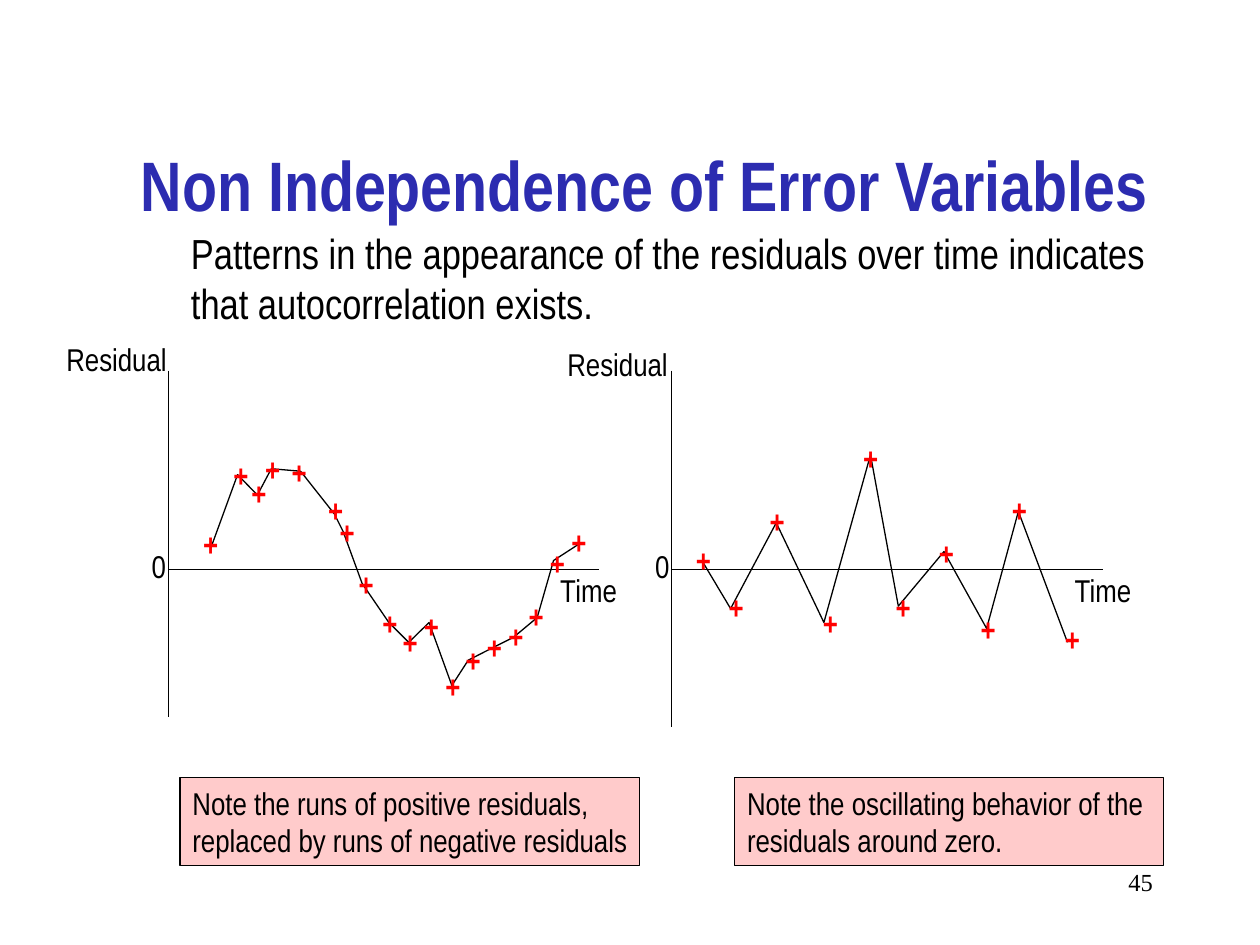
from pptx import Presentation
from pptx.dml.color import RGBColor
from pptx.enum.shapes import MSO_CONNECTOR as Connector, MSO_SHAPE as Shape
from pptx.enum.text import MSO_ANCHOR as Anchor, PP_ALIGN as Align
from pptx.oxml.ns import qn
from pptx.util import Cm, Pt
from lxml.etree import SubElement

COLORS = {"ink": "000000", "title": "2C2CB0", "marker": "FF0000", "note": "FF9999"}
LINE_WIDTH = Pt(0.75)
ROW = 1.02  # height of a one-line 18 pt label, in cm
MARKER_WIDTH = 0.81

# Plot data in cm from each origin: (across, up)
RUNS = {
    "origin": (3.39, 11.48), "below": 2.97, "time_x": 7.65, "residual": (-2.31, -4.75),
    "curve": [(0.86, 0.43), (1.4, 1.91), (1.8, 1.5), (2.08, 2.03), (2.67, 1.98),
              (3.35, 1.12), (3.53, 0.76), (3.91, -0.28), (4.45, -1.07), (4.85, -1.47),
              (5.26, -1.07), (5.72, -2.34), (6.05, -1.83), (6.5, -1.6), (6.96, -1.37),
              (7.44, -0.97), (7.77, 0.18), (8.31, 0.53)],
    "markers": [(0.86, 0.51), (1.47, 1.91), (1.83, 1.55), (2.11, 2.03), (2.64, 1.96),
                (3.38, 1.19), (3.61, 0.76), (3.99, -0.3), (4.47, -1.07), (4.88, -1.47),
                (5.31, -1.14), (5.74, -2.34), (6.15, -1.83), (6.58, -1.57), (7.01, -1.35),
                (7.42, -0.94), (7.85, 0.13), (8.28, 0.56)],
}
OSCILLATION = {
    "origin": (13.54, 11.48), "below": 3.18, "time_x": 7.87, "residual": (-2.36, -4.65),
    "curve": [(0.61, 0.18), (1.19, -0.79), (2.11, 0.94), (3.07, -1.07), (4.01, 2.31),
              (4.57, -0.74), (5.49, 0.36), (6.35, -1.19), (6.99, 1.17), (7.98, -1.47)],
    "markers": [(0.64, 0.2), (1.3, -0.76), (2.13, 0.97), (3.2, -1.07), (4.01, 2.24),
                (4.67, -0.76), (5.54, 0.33), (6.38, -1.19), (7.01, 1.19), (8.08, -1.4)],
}


def color(name):
    return RGBColor.from_string(COLORS[name])


def write(shape, lines, ink="ink", align=Align.LEFT, wrap=False, anchor=Anchor.MIDDLE,
          indent=0.25, **font):
    frame = shape.text_frame
    settings = {"word_wrap": wrap, "vertical_anchor": anchor, "margin_left": Cm(indent),
                "margin_right": Cm(0.25), "margin_top": Cm(0.13), "margin_bottom": Cm(0.13)}
    for name, value in settings.items():
        setattr(frame, name, value)
    font_values = {"name": "Arial Narrow", "size": Pt(18), **font}
    for index, line in enumerate(lines):
        para = frame.paragraphs[0] if index == 0 else frame.add_paragraph()
        para.alignment = align
        span = para.add_run()
        span.text = line
        for name, value in font_values.items():
            setattr(span.font, name, value)
        span.font.color.rgb = color(ink)


def add_text(page, box, text, **style):
    write(page.shapes.add_textbox(*map(Cm, box)), [text], **style)


def add_axis(page, start, end):
    axis = page.shapes.add_connector(Connector.STRAIGHT, *map(Cm, start + end))
    axis.line.width = LINE_WIDTH
    axis.line.color.rgb = color("ink")
    SubElement(axis._element.spPr, qn("a:effectLst"))


def add_curve(page, points):
    points = [(Cm(x), Cm(y)) for x, y in points]
    builder = page.shapes.build_freeform(*points[0])
    builder.add_line_segments(points[1:], close=False)
    curve = builder.convert_to_shape()
    curve.shadow.inherit = False
    curve.fill.background()
    curve.line.width = LINE_WIDTH
    curve.line.color.rgb = color("ink")


def add_residual_plot(page, plot):
    left, zero = plot["origin"]
    # Line through the residuals, then both axes
    add_curve(page, [(left + x, zero - up) for x, up in plot["curve"]])
    add_axis(page, (left, zero - 4.01), (left, zero + plot["below"]))
    add_axis(page, (left, zero), (left + 8.69, zero))
    # Plus signs centred on the observations
    for x, up in plot["markers"]:
        box = (left + x - MARKER_WIDTH / 2, zero - up - ROW / 2, MARKER_WIDTH, ROW)
        add_text(page, box, "+", ink="marker", align=Align.CENTER, bold=True)
    # Axis labels
    residual_x, residual_y = plot["residual"]
    for text, x, y, width in (("Time", plot["time_x"], -0.1, 1.65),
                              ("Residual", residual_x, residual_y, 2.54),
                              ("0", -0.58, -0.58, 0.79)):
        add_text(page, (left + x, zero + y, width, ROW), text, align=Align.CENTER)


def add_note(page, box, lines):
    note = page.shapes.add_shape(Shape.RECTANGLE, *map(Cm, box))
    note.shadow.inherit = False
    note.fill.solid()
    note.fill.fore_color.rgb = color("note")
    # Half-transparent fill
    tint = note._element.spPr.find(qn("a:solidFill")).find(qn("a:srgbClr"))
    SubElement(tint, qn("a:alpha"), val="50000")
    note.line.width = LINE_WIDTH
    note.line.color.rgb = color("ink")
    write(note, lines)


def add_heading(page, box):
    left, top, width, height = box
    add_text(page, (left, top, width, height), "Non Independence of Error Variables",
             ink="title", align=Align.CENTER, wrap=True, indent=0.84,
             size=Pt(40), bold=True)
    add_text(page, (left + 1.7, top + 2.34, 20.12, 2.29),
             "Patterns in the appearance of the residuals over time indicates "
             "that autocorrelation exists.", wrap=True, size=Pt(24))


def main():
    deck = Presentation()
    deck.slide_width, deck.slide_height = Cm(25.4), Cm(19.05)
    page = deck.slides.add_slide(deck.slide_layouts[6])

    add_heading(page, (1.9, 2.11, 21.59, 3.18))
    for plot in (RUNS, OSCILLATION):
        add_residual_plot(page, plot)
    add_note(page, (3.63, 15.67, 9.27, 1.78),
             ["Note the runs of positive residuals,",
              "replaced by runs of negative residuals"])
    add_note(page, (14.81, 15.67, 8.64, 1.78),
             ["Note the oscillating behavior of the", "residuals around zero."])
    # Page number
    add_text(page, (18.21, 17.35, 5.28, 1.27), "45", align=Align.RIGHT, wrap=True,
             anchor=Anchor.TOP, name="Times New Roman", size=Pt(14))
    deck.save("out.pptx")


if __name__ == "__main__":
    main()
